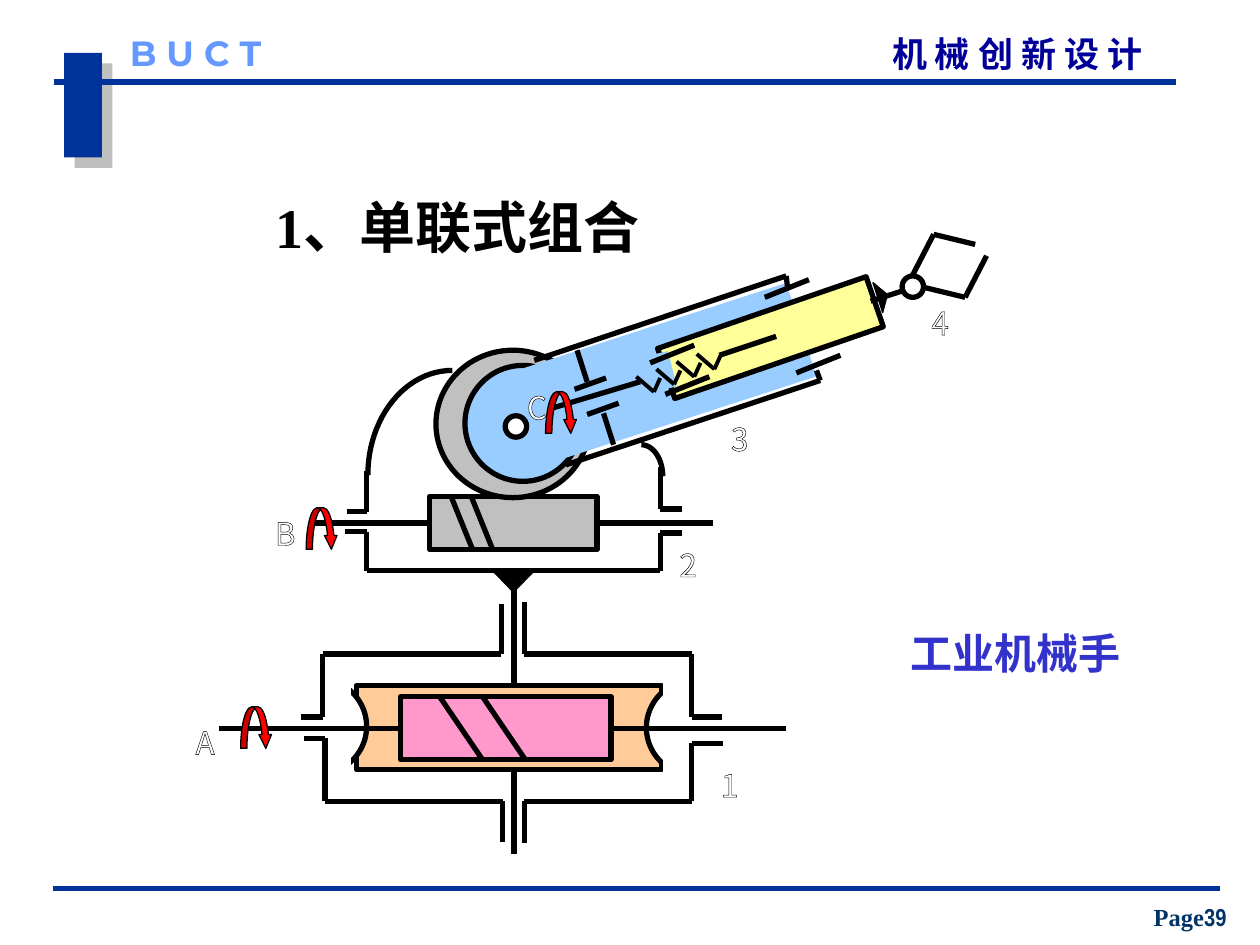
from math import cos, pi, sin

from pptx import Presentation
from pptx.dml.color import RGBColor
from pptx.enum.shapes import MSO_CONNECTOR, MSO_SHAPE as Kind
from pptx.enum.text import MSO_ANCHOR as Anchor, PP_ALIGN as Align
from pptx.oxml import parse_xml
from pptx.oxml.ns import nsdecls, qn
from pptx.util import Inches, Pt

COLUMNS, ROWS = 10, 7.5
TOP, LEFT, BOTTOM, RIGHT = range(4)

BLACK = RGBColor(0x00, 0x00, 0x00)
WHITE = RGBColor(0xFF, 0xFF, 0xFF)
NAVY = RGBColor(0x00, 0x33, 0x99)
COURSE_BLUE = RGBColor(0x00, 0x00, 0x99)
SCHOOL_BLUE = RGBColor(0x66, 0x99, 0xFF)
PAGE_BLUE = RGBColor(0x00, 0x33, 0x66)
CAPTION_BLUE = RGBColor(0x33, 0x33, 0xCC)
ORANGE = RGBColor(0xFF, 0xCC, 0x99)
PINK = RGBColor(0xFF, 0x99, 0xCC)
GREY = RGBColor(0xC0, 0xC0, 0xC0)
SKY = RGBColor(0x99, 0xCC, 0xFF)
YELLOW = RGBColor(0xFF, 0xFF, 0x99)
RED = RGBColor(0xFF, 0x00, 0x00)

CJK = "Noto Sans CJK SC"
SERIF = "Times New Roman"


def add_span(para, text, font=CJK, size=18, color=BLACK, bold=False, outlined=False):
    span = para.add_run()
    span.text = text
    span.font.name = font
    span.font.size = Pt(size)
    span.font.bold = bold
    span.font.color.rgb = color
    props = span.font._element
    props.find(qn("a:latin")).addnext(
        parse_xml(f'<a:ea {nsdecls("a")} typeface="{CJK}"/>'))
    if outlined:
        props.insert(0, parse_xml(
            f'<a:ln {nsdecls("a")} w="9525"><a:solidFill>'
            f'<a:srgbClr val="{BLACK}"/></a:solidFill></a:ln>'))


class Drawing:
    def __init__(self, deck, page):
        self.page = page
        self.column = deck.slide_width / COLUMNS
        self.row = deck.slide_height / ROWS
        self.ink = BLACK
        self.weight = 3

    def place(self, x, y):
        return round(x * self.column), round(y * self.row)

    def shape(self, kind, x, y, width, height, fill, ink=None, weight=None, turn=0):
        shape = self.page.shapes.add_shape(
            kind, *self.place(x, y), *self.place(width, height))
        shape.shadow.inherit = False
        shape.fill.solid()
        shape.fill.fore_color.rgb = fill
        shape.line.color.rgb = ink or self.ink
        shape.line.width = Pt(weight or self.weight)
        shape.rotation = turn
        return shape

    def plain(self, kind, x, y, width, height, fill, turn=0):
        return self.shape(kind, x, y, width, height, fill, fill, 0.75, turn)

    def line(self, start, end, ink=None, weight=None):
        line = self.page.shapes.add_connector(
            MSO_CONNECTOR.STRAIGHT, *self.place(*start), *self.place(*end))
        line.line.color.rgb = ink or self.ink
        line.line.width = Pt(weight or self.weight)
        line._element.spPr.append(parse_xml(f'<a:effectLst {nsdecls("a")}/>'))
        return line

    def chain(self, *points):
        for start, end in zip(points, points[1:]):
            self.line(start, end)

    def lines(self, *ends):
        for x1, y1, x2, y2 in ends:
            self.line((x1, y1), (x2, y2))

    def quarter(self, x, y, across, down, steps=24):
        angles = [pi / 2 * step / steps for step in range(steps + 1)]
        points = [self.place(x + across * sin(a), y + down * (1 - cos(a))) for a in angles]
        builder = self.page.shapes.build_freeform(*points[0])
        builder.add_line_segments(points[1:], close=False)
        curve = builder.convert_to_shape()
        curve.shadow.inherit = False
        curve.fill.background()
        curve.line.color.rgb = self.ink
        curve.line.width = Pt(self.weight)

    def turn_arrow(self, x, y):
        arrow = self.shape(Kind.CURVED_DOWN_ARROW, x, y, 0.25, 0.33, RED, weight=0.75)
        for index, share in enumerate((0.2, 0.4, 0.44)):
            arrow.adjustments[index] = share

    def text(self, x, y, width, height, *spans, inset=(0, 0), align=Align.LEFT,
             anchor=Anchor.TOP, wrap=True):
        box = self.page.shapes.add_textbox(*self.place(x, y), *self.place(width, height))
        frame = box.text_frame
        frame.word_wrap = wrap
        frame.vertical_anchor = anchor
        frame.margin_left = frame.margin_right = round(inset[0] * self.column)
        frame.margin_top = frame.margin_bottom = round(inset[1] * self.row)
        para = frame.paragraphs[0]
        para.alignment = align
        for text, style in spans:
            add_span(para, text, **style)


def draw_frame(art):
    tab = art.plain(Kind.RECTANGLE, 0.51, 0.42, 0.3, 0.83, NAVY)
    tab.line.fill.background()
    tab._element.spPr.find(qn("a:effectLst")).append(parse_xml(
        f'<a:outerShdw {nsdecls("a")} dist="107950" dir="2700000" algn="ctr" rotWithShape="0">'
        '<a:srgbClr val="808080"><a:alpha val="50000"/></a:srgbClr></a:outerShdw>'))
    art.line((0.43, 0.65), (9.33, 0.65), NAVY)
    art.line((0.42, 7.05), (9.68, 7.05), NAVY)
    art.text(7.08, 0.26, 2.46, 0.33,
             ("机 械 创 新 设 计", dict(size=20, color=COURSE_BLUE, bold=True)))
    art.text(1.03, 0.25, 1.42, 0.33,
             ("B U C T", dict(font="Montserrat", size=20, color=SCHOOL_BLUE, bold=True)))
    number = dict(size=14, color=PAGE_BLUE, bold=True)
    art.text(8.97, 7.11, 0.95, 0.33, ("Page", dict(number, font=SERIF)),
             ("39", dict(number, font="Arial Narrow")),
             inset=(0.1, 0.05), align=Align.CENTER, anchor=Anchor.BOTTOM)
    art.text(0.75, 1.54, 5.77, 0.51, ("1、单联式组合", dict(font=SERIF, size=32, bold=True)),
             align=Align.CENTER, anchor=Anchor.MIDDLE)


def draw_base(art):
    art.shape(Kind.RECTANGLE, 2.83, 5.44, 2.42, 0.67, ORANGE)
    art.shape(Kind.OVAL, 2.16, 5.39, 0.75, 0.75, WHITE)
    art.plain(Kind.RECTANGLE, 2.11, 5.11, 0.67, 1.33, WHITE)
    art.shape(Kind.OVAL, 5.13, 5.4, 0.75, 0.75, WHITE)
    art.plain(Kind.RECTANGLE, 5.27, 5.09, 0.67, 1.33, WHITE)
    worm = art.shape(Kind.RECTANGLE, 3.18, 5.53, 1.67, 0.5, PINK)
    for x in (3.49, 3.83):
        art.line((x, 5.53), (x + 0.34, 6.03))
    art.line((1.74, 5.78), (3.18, 5.78)).end_connect(worm, LEFT)
    art.line((4.85, 5.78), (6.24, 5.78)).begin_connect(worm, RIGHT)
    art.lines((4.08, 4.53, 4.08, 5.44), (4.08, 6.11, 4.08, 6.78))
    art.chain((2.39, 5.69), (2.56, 5.69), (2.56, 5.19), (3.98, 5.19), (3.98, 4.79))
    art.chain((4.16, 4.78), (4.16, 5.19), (5.49, 5.19), (5.49, 5.69), (5.73, 5.69))
    art.chain((2.41, 5.86), (2.58, 5.86), (2.58, 6.36), (3.99, 6.36), (3.99, 6.68))
    art.chain((4.16, 6.69), (4.16, 6.36), (5.49, 6.36), (5.49, 5.9), (5.74, 5.9))
    art.turn_arrow(1.91, 5.61)


def draw_turntable(art):
    worm = art.shape(Kind.RECTANGLE, 3.41, 3.94, 1.33, 0.42, GREY)
    for x in (3.58, 3.74):
        art.line((x, 3.94), (x + 0.17, 4.36))
    art.line((2.49, 4.15), (3.41, 4.15)).end_connect(worm, LEFT)
    art.line((4.74, 4.15), (5.66, 4.15)).begin_connect(worm, RIGHT)
    art.chain((2.74, 4.22), (2.91, 4.22), (2.91, 4.53), (5.24, 4.53), (5.24, 4.23), (5.41, 4.23))
    art.chain((2.75, 4.06), (2.91, 4.06), (2.91, 3.74))
    art.chain((5.41, 4.04), (5.24, 4.04), (5.24, 3.71))
    art.shape(Kind.OVAL, 3.46, 2.78, 1.22, 1.17, GREY)


def draw_arm(art):
    art.shape(Kind.OVAL, 3.69, 2.9, 0.92, 0.92, SKY)
    art.shape(Kind.OVAL, 4.01, 3.3, 0.17, 0.17, WHITE)
    art.plain(Kind.RECTANGLE, 4.16, 2.58, 2.25, 0.77, SKY, turn=162)
    art.chain((4.24, 2.86), (6.24, 2.19), (6.25, 2.28))
    art.chain((4.49, 3.69), (6.51, 3.02), (6.48, 2.94))
    art.shape(Kind.RECTANGLE, 5.24, 2.47, 1.75, 0.42, YELLOW, turn=341)
    art.plain(Kind.RECTANGLE, 4.74, 2.86, 0.6, 0.28, SKY, turn=346)
    for x, y in ((6.07, 2.36), (6.32, 2.96), (5.16, 2.88), (5.28, 3.13)):
        art.line((x, y), (x + 0.35, y - 0.14))
    for x, y in ((4.56, 3.09), (4.66, 3.29)):
        art.line((x, y), (x + 0.25, y - 0.09))
    for x, y in ((4.58, 2.78), (4.79, 3.28)):
        art.line((x, y), (x + 0.08, y + 0.25))
    art.lines((4.38, 3.24, 5.08, 3.03), (5.71, 2.82, 6.16, 2.67))
    for coil in range(4):
        x, y = 5.05 + 0.16 * coil, 2.99 - 0.06 * coil
        art.line((x, y), (x + 0.14, y + 0.12), weight=2.25)
        art.line((x + 0.19, y + 0.01), (x + 0.14, y + 0.12), weight=2.25)


def draw_gripper(art):
    for x, y in ((2.43, 4.03), (4.33, 3.11)):
        art.turn_arrow(x, y)
    art.line((6.91, 2.39), (7.16, 2.31))
    art.shape(Kind.OVAL, 7.16, 2.19, 0.17, 0.17, WHITE)
    art.chain((7.24, 2.19), (7.41, 1.86), (7.74, 1.94))
    art.chain((7.33, 2.28), (7.66, 2.36), (7.83, 2.03))
    art.plain(Kind.ISOSCELES_TRIANGLE, 3.91, 4.53, 0.33, 0.17, BLACK, turn=180)
    art.plain(Kind.ISOSCELES_TRIANGLE, 6.88, 2.31, 0.25, 0.08, BLACK, turn=72)
    art.quarter(3.59, 2.94, -0.67, 0.83)
    art.quarter(5.09, 3.53, 0.17, 0.25)


def draw_labels(art):
    for text, x, y in (("1", 5.7, 6.03), ("2", 5.37, 4.28), ("3", 5.78, 3.28), ("4", 7.37, 2.36),
                       ("A", 1.53, 5.69), ("B", 2.16, 4.03), ("C", 4.16, 3.03)):
        art.text(x, y, 0.12, 0.25, (text, dict(color=WHITE, outlined=True)),
                 inset=(0.1, 0.05), wrap=False)
    art.text(7.13, 4.93, 2.2, 0.5,
             ("工业机械手", dict(font="Arial", size=24, color=CAPTION_BLUE, bold=True)),
             inset=(0.1, 0.05))


def main():
    deck = Presentation()
    deck.slide_width, deck.slide_height = Inches(10), Inches(7.5)
    page = deck.slides.add_slide(deck.slide_layouts[6])
    art = Drawing(deck, page)
    for draw in (draw_frame, draw_base, draw_turntable, draw_arm, draw_gripper, draw_labels):
        draw(art)
    deck.save("out.pptx")


if __name__ == "__main__":
    main()
